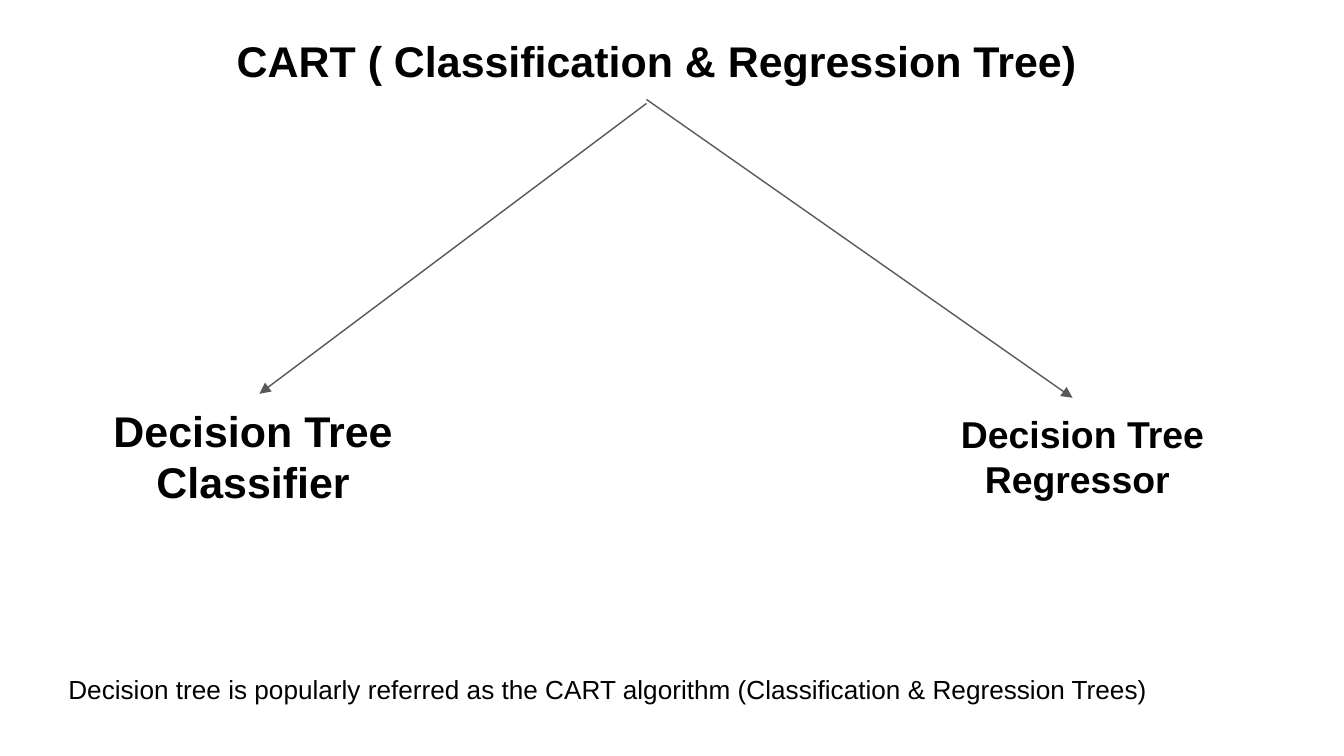
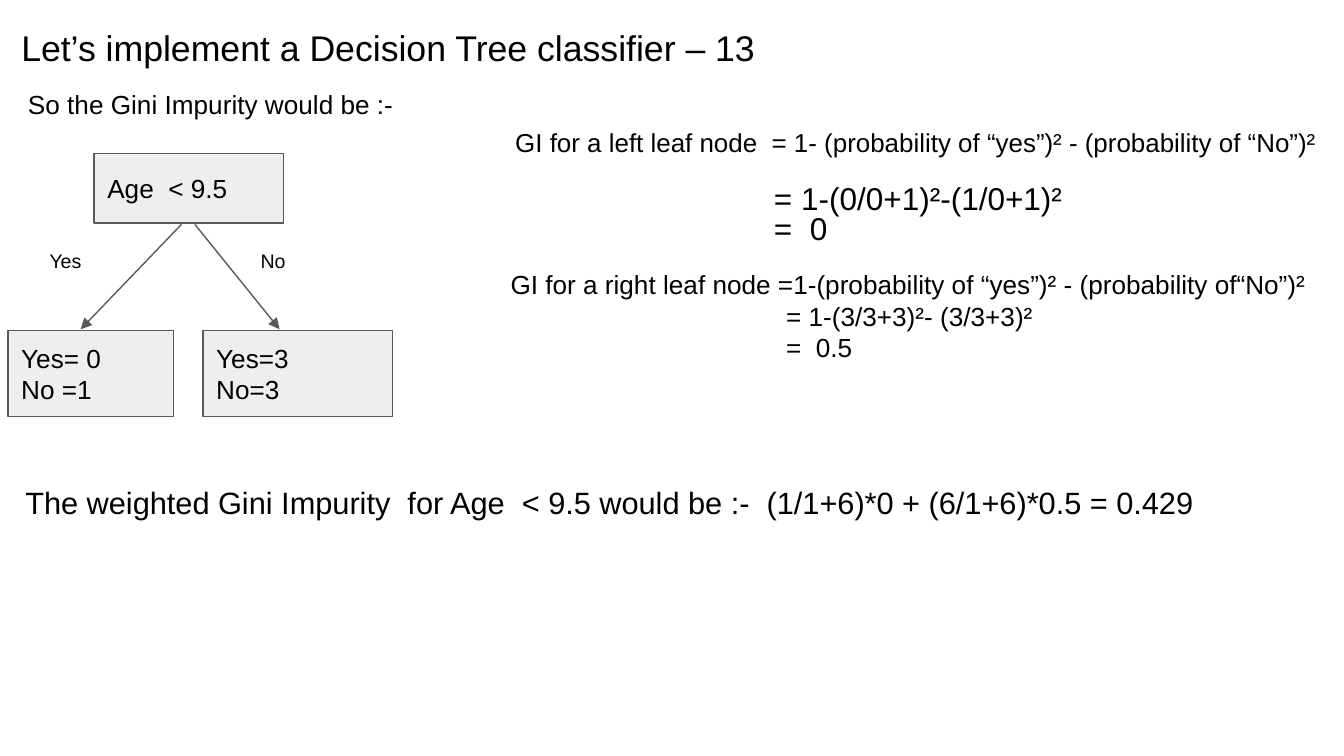
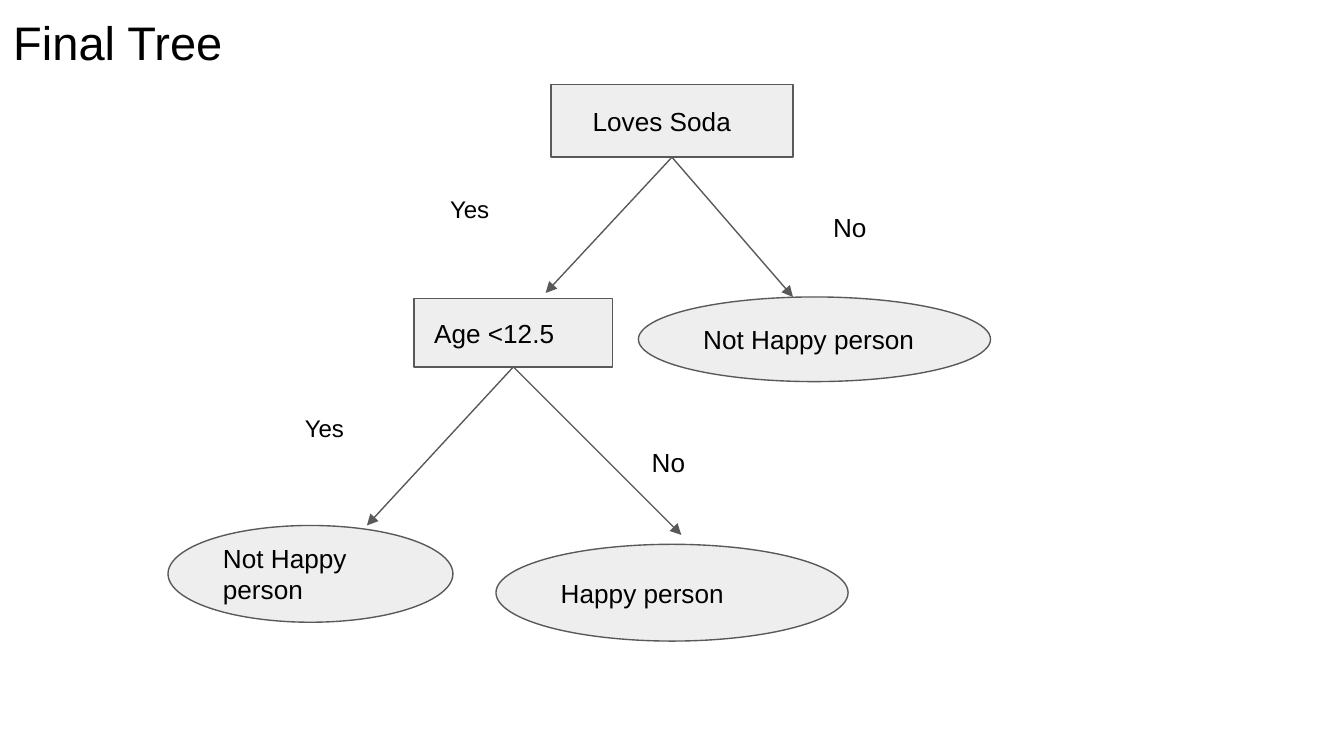
import dataclasses

import pptx
import pptx.dml.color
import pptx.enum.shapes
import pptx.enum.text
import pptx.oxml
import pptx.oxml.ns
import pptx.util

Inches = pptx.util.Inches
Pt = pptx.util.Pt
Align = pptx.enum.text.PP_ALIGN
Anchor = pptx.enum.text.MSO_ANCHOR
Shape = pptx.enum.shapes.MSO_SHAPE


@dataclasses.dataclass(frozen=True)
class Theme:
    font: str = "Arial"
    ink: str = "000000"
    line: str = "595959"
    fill: str = "EEEEEE"
    paper: str = "FFFFFF"
    line_width: float = 0.75
    inset: float = 0.1
    body: float = 14
    heading: float = 23
    subheading: float = 20
    page_title: float = 19.1
    final_title: float = 25.2
    small_label: float = 10.5
    branch_label: float = 12.9
    formula: float = 13.85
    result: float = 16.9
    summary: float = 16.5


@dataclasses.dataclass(frozen=True)
class Box:
    left: float
    top: float
    width: float
    height: float

    def inner(self, left, top, width, height):
        return Box(self.left + left, self.top + top, width, height)

    def point(self, left, top):
        return Inches(self.left + left), Inches(self.top + top)

    def lengths(self):
        return [Inches(value) for value in (self.left, self.top, self.width, self.height)]


THEME = Theme()
PAGE = Box(0, 0, 10, 10 * 9 / 16)


def colour(value):
    return pptx.dml.color.RGBColor.from_string(value)


def write(frame, text, size=THEME.body, bold=False, align=Align.LEFT,
          spacing=None, before=0, indent=0, first=True):
    para = frame.paragraphs[0] if first else frame.add_paragraph()
    para.alignment = align
    para.space_before = Pt(before)
    if spacing:
        para.line_spacing = spacing
    if indent:
        para._p.get_or_add_pPr().set("marL", str(Inches(indent)))
    span = para.add_run()
    span.text = text
    span.font.name = THEME.font
    span.font.size = Pt(size)
    span.font.bold = bold
    span.font.color.rgb = colour(THEME.ink)


def prepare_frame(shape, anchor, left_inset=THEME.inset):
    frame = shape.text_frame
    frame.word_wrap = True
    frame.vertical_anchor = anchor
    frame.margin_left = Inches(left_inset)
    frame.margin_right = frame.margin_top = frame.margin_bottom = Inches(THEME.inset)
    return frame


def add_text(page, box, *lines, **style):
    frame = prepare_frame(page.shapes.add_textbox(*box.lengths()), Anchor.TOP)
    for index, line in enumerate(lines):
        text, extra = line if isinstance(line, tuple) else (line, {})
        write(frame, text, first=index == 0, **{**style, **extra})


def add_node(page, box, *lines, kind=Shape.RECTANGLE, left_inset=THEME.inset):
    node = page.shapes.add_shape(kind, *box.lengths())
    node.shadow.inherit = False
    node.fill.solid()
    node.fill.fore_color.rgb = colour(THEME.fill)
    node.line.color.rgb = colour(THEME.line)
    node.line.width = Pt(THEME.line_width)
    frame = prepare_frame(node, Anchor.MIDDLE, left_inset)
    for index, text in enumerate(lines):
        write(frame, text, first=index == 0)
    return node


def add_arrow(page, box, start, end, parent=None):
    arrow = page.shapes.add_connector(
        pptx.enum.shapes.MSO_CONNECTOR.STRAIGHT, *box.point(*start), *box.point(*end))
    if parent is not None:
        arrow.begin_connect(parent, 2)
    arrow.line.color.rgb = colour(THEME.line)
    arrow.line.width = Pt(THEME.line_width)
    tail = pptx.oxml.parse_xml(
        f'<a:tailEnd {pptx.oxml.ns.nsdecls("a")} type="triangle"/>')
    arrow.line._get_or_add_ln().append(tail)
    effects = pptx.oxml.parse_xml(f'<a:effectLst {pptx.oxml.ns.nsdecls("a")}/>')
    arrow._element.spPr.append(effects)


def cart_overview(page, box):
    heading = dict(bold=True, align=Align.CENTER)
    add_text(page, box.inner(1.33, 0.16, 7.12, 0.59),
             "CART ( Classification & Regression Tree)", size=THEME.heading, **heading)
    add_text(page, box.inner(0.3, 2.91, 3.17, 0.98),
             "Decision Tree Classifier", size=THEME.heading, **heading)
    add_text(page, box.inner(6.33, 2.96, 3.45, 0.88),
             "Decision Tree Regressor ", size=THEME.subheading, **heading)
    add_arrow(page, box, (4.81, 0.77), (1.93, 2.93))
    add_arrow(page, box, (4.81, 0.74), (7.98, 2.96))
    add_text(page, box.inner(0.41, 4.91, 8.95, 0.44),
             "Decision tree is popularly referred as the CART algorithm "
             "(Classification & Regression Trees)")


def gini_tree(page, box):
    add_node(page, box.inner(0.64, 0, 1.41, 0.52), "Age  < 9.5",
             kind=Shape.FLOWCHART_PROCESS)
    for label, label_left, start, end, leaf_left, leaf_width, counts in (
        ("Yes", 0.21, 1.29, 0.54, 0, 1.23, ("Yes= 0", "No =1")),
        ("No", 1.78, 1.39, 2.02, 1.45, 1.41, ("Yes=3", "No=3")),
    ):
        add_arrow(page, box, (start, 0.53), (end, 1.31))
        add_text(page, box.inner(label_left, 0.65, 0.51, 0.36), label,
                 size=THEME.small_label, spacing=0.9)
        add_node(page, box.inner(leaf_left, 1.32, leaf_width, 0.64), *counts)


def gini_working(page, box):
    result = dict(size=THEME.result, indent=2.01)
    add_text(page, box.inner(0, 0, 6.25, 1.07),
             ("GI for a left leaf node  = 1- (probability of “yes”)² - (probability of “No”)²",
              dict(size=THEME.formula, align=Align.RIGHT)),
             ("= 1-(0/0+1)²-(1/0+1)²", dict(before=15, **result)),
             ("=  0", result),
             spacing=0.8)
    step = dict(indent=2.05)
    add_text(page, box.inner(0.05, 1.01, 6.15, 1.07),
             "GI for a right leaf node =1-(probability of “yes”)² - (probability of“No”)²",
             ("= 1-(3/3+3)²- (3/3+3)²", step),
             ("=  0.5", step))


def gini_page(page, box):
    add_text(page, box.inner(0.06, 0.09, 9.32, 0.48),
             "Let’s implement a Decision Tree classifier – 13", size=THEME.page_title)
    add_text(page, box.inner(0.11, 0.56, 7.69, 0.44), "So the Gini Impurity would be :-")
    gini_working(page, box.inner(3.65, 0.89, 6.25, 2.08))
    gini_tree(page, box.inner(0.06, 1.14, 2.86, 1.96))
    add_text(page, box.inner(0.09, 3.55, 9.25, 0.36),
             "The weighted Gini Impurity  for Age  < 9.5 would be :-  "
             "(1/1+6)*0 + (6/1+6)*0.5 = 0.429",
             size=THEME.summary, spacing=0.8)


def final_tree(page, box):
    soda = add_node(page, box.inner(2.85, 0, 1.8, 0.54), "Loves Soda", left_inset=0.31)
    age = add_node(page, box.inner(1.83, 1.59, 1.48, 0.51), "Age <12.5", left_inset=0.15)
    for text, place in (
        ("Not Happy person", (3.5, 1.58, 2.62, 0.63)),
        ("Not Happy person", (0, 3.28, 2.12, 0.72)),
        ("Happy person", (2.44, 3.42, 2.62, 0.72)),
    ):
        add_node(page, box.inner(*place), text, kind=Shape.OVAL)
    for parent, start, end in (
        (soda, (3.75, 0.54), (2.81, 1.55)),
        (soda, (3.75, 0.54), (4.65, 1.58)),
        (age, (2.57, 2.1), (1.48, 3.28)),
        (age, (2.57, 2.1), (3.82, 3.35)),
    ):
        add_arrow(page, box, start, end, parent)
    for place in ((2, 0.77, 0.85, 0.38), (0.92, 2.4, 0.64, 0.38)):
        add_text(page, box.inner(*place), "Yes", size=THEME.branch_label, spacing=0.8)
    for place in ((4.85, 0.84, 0.64, 0.44), (3.5, 2.59, 0.85, 0.44)):
        add_text(page, box.inner(*place), "No")


def final_page(page, box):
    add_text(page, box.inner(0, 0, 9.32, 0.63), "Final Tree", size=THEME.final_title)
    final_tree(page, box.inner(1.25, 0.63, 6.12, 4.14))


def main():
    deck = pptx.Presentation()
    deck.slide_width = Inches(PAGE.width)
    deck.slide_height = Inches(PAGE.height)
    for build in (cart_overview, gini_page, final_page):
        page = deck.slides.add_slide(deck.slide_layouts[6])
        page.background.fill.solid()
        page.background.fill.fore_color.rgb = colour(THEME.paper)
        build(page, PAGE)
    deck.save("out.pptx")


if __name__ == "__main__":
    main()
